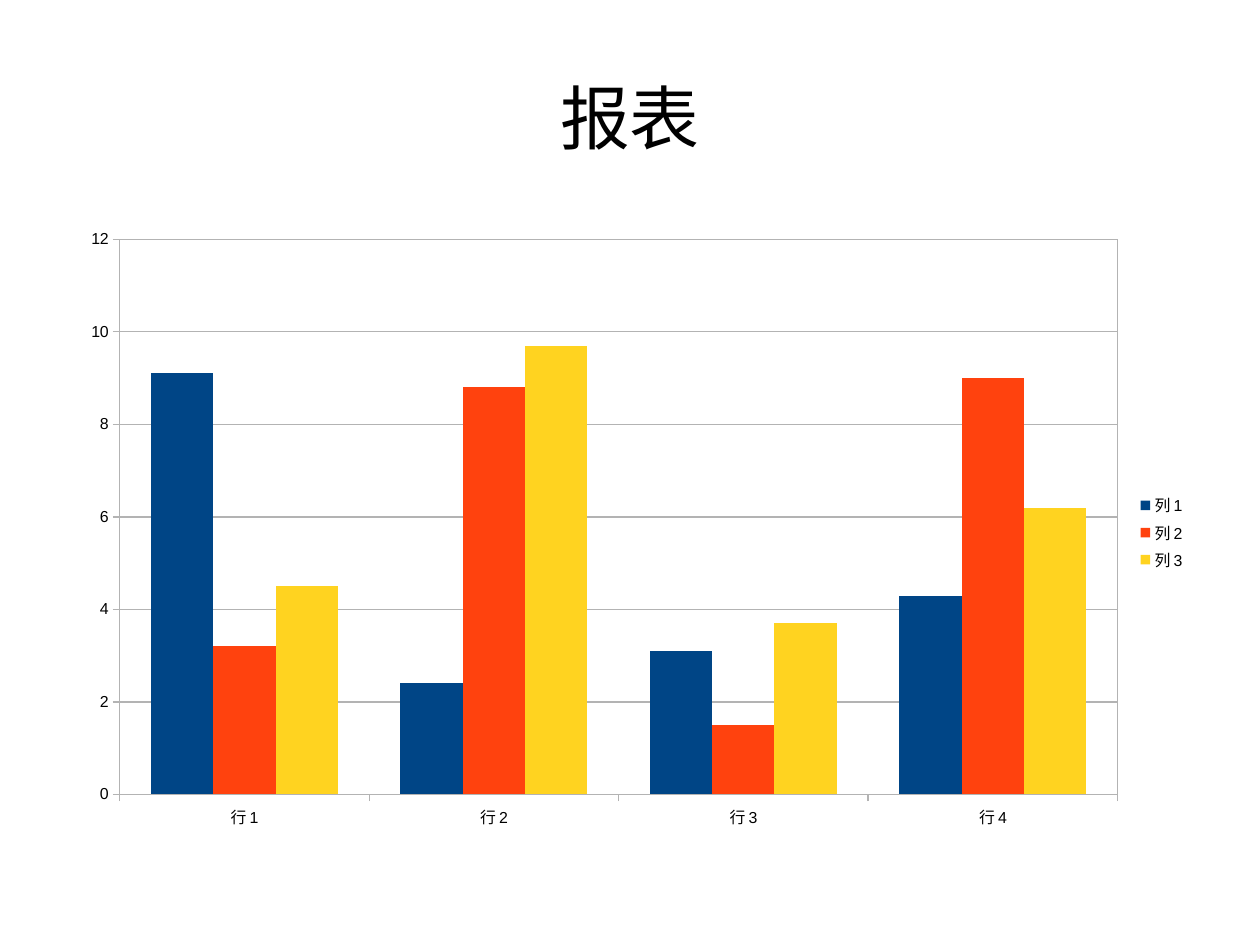
import pptx
import pptx.chart.data
import pptx.dml.color
import pptx.enum.chart
import pptx.enum.text
import pptx.oxml
import pptx.util

Pt = pptx.util.Pt

TITLE = "报表"
CATEGORIES = ["行 1", "行 2", "行 3", "行 4"]
SERIES = [
    ("列 1", [9.1, 2.4, 3.1, 4.3], "004586"),
    ("列 2", [3.2, 8.8, 1.5, 9], "FF420E"),
    ("列 3", [4.5, 9.7, 3.7, 6.2], "FFD320"),
]
FONT, BLACK, GREY = "Arial", "000000", "B3B3B3"
PAGE_WIDTH, PAGE_HEIGHT = 793.7, 595.3
MARGIN = 39.7
CONTENT_WIDTH = PAGE_WIDTH - 2 * MARGIN
TITLE_TOP, TITLE_HEIGHT = 23.8, 99.4
CHART_TOP, CHART_HEIGHT = 139, 393
PLOT_FRACTIONS = {"x": 0.05, "y": 0.03, "w": 0.88, "h": 0.89}
CHART_NAMESPACES = (
    'xmlns:c="http://schemas.openxmlformats.org/drawingml/2006/chart" '
    'xmlns:a="http://schemas.openxmlformats.org/drawingml/2006/main"'
)


def color(hex_text):
    return pptx.dml.color.RGBColor.from_string(hex_text)


def set_font(font, size):
    font.name = FONT
    font.size = Pt(size)
    font.bold = False
    font.color.rgb = color(BLACK)


def set_hairline(line):
    line.color.rgb = color(GREY)
    line.width = Pt(0)


def frame_plot(chart):
    """Fix the inner plot rectangle and give it a grey border."""
    plot_area = chart._chartSpace.chart.plotArea
    for old_layout in plot_area.xpath("c:layout"):
        plot_area.remove(old_layout)
    sizes = "".join(f'<c:{key} val="{value}"/>' for key, value in PLOT_FRACTIONS.items())
    plot_area.insert(0, pptx.oxml.parse_xml(
        f'<c:layout {CHART_NAMESPACES}><c:manualLayout><c:layoutTarget val="inner"/>'
        f'<c:xMode val="edge"/><c:yMode val="edge"/>{sizes}</c:manualLayout></c:layout>'))
    plot_area.append(pptx.oxml.parse_xml(
        f'<c:spPr {CHART_NAMESPACES}><a:noFill/><a:ln w="0"><a:solidFill>'
        f'<a:srgbClr val="{GREY}"/></a:solidFill></a:ln></c:spPr>'))


def add_title(page):
    title = page.shapes.title
    title.left, title.top = Pt(MARGIN), Pt(TITLE_TOP)
    title.width, title.height = Pt(CONTENT_WIDTH), Pt(TITLE_HEIGHT)
    frame = title.text_frame
    frame.text = TITLE
    frame.margin_left = frame.margin_right = frame.margin_top = frame.margin_bottom = 0
    frame.vertical_anchor = pptx.enum.text.MSO_ANCHOR.MIDDLE
    para = frame.paragraphs[0]
    para.alignment = pptx.enum.text.PP_ALIGN.CENTER
    set_font(para.font, 44)


def add_report_chart(page):
    data = pptx.chart.data.CategoryChartData()
    data.categories = CATEGORIES
    for name, values, _ in SERIES:
        data.add_series(name, values)
    chart = page.shapes.add_chart(
        pptx.enum.chart.XL_CHART_TYPE.COLUMN_CLUSTERED,
        Pt(MARGIN), Pt(CHART_TOP), Pt(CONTENT_WIDTH), Pt(CHART_HEIGHT), data).chart
    set_font(chart.font, 10)
    chart.has_title = False

    plot = chart.plots[0]
    plot.gap_width, plot.overlap = 100, 0
    plot.vary_by_categories = False
    for series, (_, _, fill) in zip(plot.series, SERIES):
        series.format.fill.solid()
        series.format.fill.fore_color.rgb = color(fill)

    for axis in (chart.category_axis, chart.value_axis):
        axis.major_tick_mark = pptx.enum.chart.XL_TICK_MARK.OUTSIDE
        axis.minor_tick_mark = pptx.enum.chart.XL_TICK_MARK.NONE
        set_hairline(axis.format.line)
        set_font(axis.tick_labels.font, 10)
    values = chart.value_axis
    values.minimum_scale, values.maximum_scale, values.major_unit = 0, 12, 2
    values.has_major_gridlines = True
    set_hairline(values.major_gridlines.format.line)

    chart.has_legend = True
    chart.legend.position = pptx.enum.chart.XL_LEGEND_POSITION.RIGHT
    chart.legend.include_in_layout = False
    set_font(chart.legend.font, 10)
    frame_plot(chart)


def main():
    deck = pptx.Presentation()
    deck.slide_width, deck.slide_height = Pt(PAGE_WIDTH), Pt(PAGE_HEIGHT)
    page = deck.slides.add_slide(deck.slide_layouts[5])
    add_title(page)
    add_report_chart(page)
    deck.save("out.pptx")


if __name__ == "__main__":
    main()
